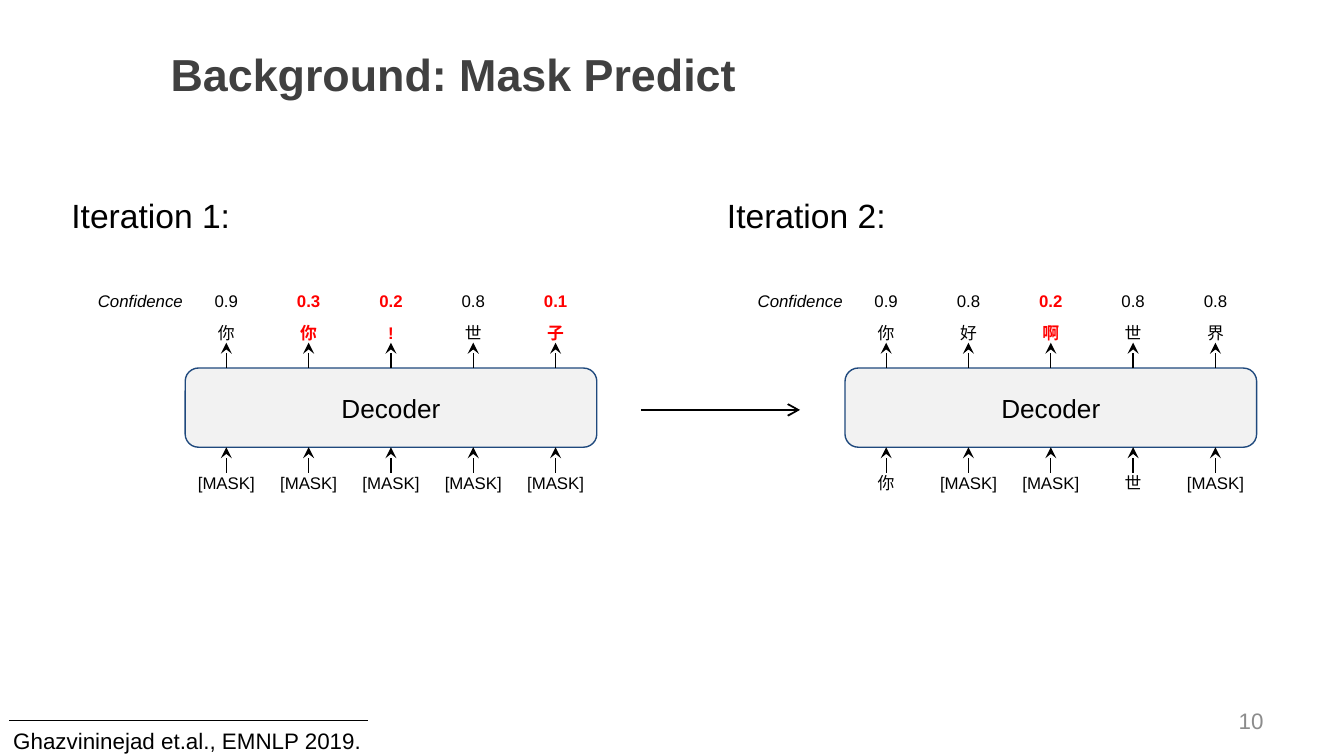
from pptx import Presentation
from pptx.dml.color import RGBColor
from pptx.enum.shapes import MSO_CONNECTOR, MSO_SHAPE
from pptx.enum.text import MSO_ANCHOR, MSO_AUTO_SIZE, PP_ALIGN
from pptx.oxml.ns import qn
from pptx.util import Pt
from lxml import etree

LEFT, CENTER, RIGHT = PP_ALIGN.LEFT, PP_ALIGN.CENTER, PP_ALIGN.RIGHT
TOP, MIDDLE = MSO_ANCHOR.TOP, MSO_ANCHOR.MIDDLE
STRAIGHT = MSO_CONNECTOR.STRAIGHT
ROUNDED = MSO_SHAPE.ROUNDED_RECTANGLE
TITLE_ONLY = 5

BLACK, RED, GREY = "000000", "FF0000", "8C8C8C"
TITLE_COLOR, BOX_FILL, BOX_LINE = "404040", "EEEEEE", "1F497D"

# Decoder diagram, in points
COLUMN = 44.1
DECODER_TOP, DECODER_HEIGHT = 197.2, 42.4
DECODER_BOTTOM = DECODER_TOP + DECODER_HEIGHT
ARROW_LENGTH, LABEL_HEIGHT = 13.6, 11
CONFIDENCE_TOP, OUTPUT_TOP = 155.8, 172.8
INPUT_TOP = DECODER_BOTTOM + ARROW_LENGTH
LOW_CONFIDENCE = 0.5
MASK = "[MASK]"

ITERATIONS = [
    {"heading": "Iteration 1:", "heading_left": 31.2, "left": 99.2,
     "confidence": [0.9, 0.3, 0.2, 0.8, 0.1],
     "outputs": ["你", "你", "!", "世", "子"],
     "inputs": [MASK] * 5},
    {"heading": "Iteration 2:", "heading_left": 382.4, "left": 452.7,
     "confidence": [0.9, 0.8, 0.2, 0.8, 0.8],
     "outputs": ["你", "好", "啊", "世", "界"],
     "inputs": ["你", MASK, MASK, "世", MASK]},
]


def rgb(color):
    return RGBColor.from_string(color)


def write(shape, text, size, color=BLACK, align=LEFT, anchor=TOP,
          margins=(7.2, 3.6), wrap=True, **styles):
    """Fill a shape with one formatted line of text."""
    across, down = margins
    frame = shape.text_frame
    frame_format = {
        "word_wrap": wrap, "auto_size": MSO_AUTO_SIZE.NONE,
        "vertical_anchor": anchor,
        "margin_left": Pt(across), "margin_right": Pt(across),
        "margin_top": Pt(down), "margin_bottom": Pt(down),
    }
    for name, value in frame_format.items():
        setattr(frame, name, value)
    para = frame.paragraphs[0]
    para.alignment = align
    span = para.add_run()
    span.text = text
    for name, value in {"name": "Arial", "size": Pt(size), **styles}.items():
        setattr(span.font, name, value)
    span.font.color.rgb = rgb(color)


def add_text(page, place, text, size, **styles):
    box = page.shapes.add_textbox(*map(Pt, place))
    write(box, text, size, **styles)


def add_label(page, left, top, text, width=COLUMN, **styles):
    add_text(page, (left, top, width, LABEL_HEIGHT), text, 9,
             align=CENTER, margins=(3.6, 0), **styles)


def add_line(page, start, end, weight=0.75, head=None):
    line = page.shapes.add_connector(STRAIGHT, *map(Pt, (*start, *end)))
    line.line.width = Pt(weight)
    line.line.color.rgb = rgb(BLACK)
    properties = line._element.spPr
    if head:
        outline = properties.find(qn("a:ln"))
        etree.SubElement(outline, qn("a:tailEnd"), type=head)
    etree.SubElement(properties, qn("a:effectLst"))


def add_decoder(page, left, columns):
    place = (left, DECODER_TOP, columns * COLUMN, DECODER_HEIGHT)
    box = page.shapes.add_shape(ROUNDED, *map(Pt, place))
    box.shadow.inherit = False
    box.adjustments[0] = 0.167
    box.fill.solid()
    box.fill.fore_color.rgb = rgb(BOX_FILL)
    fill_color = box._element.spPr.find(qn("a:solidFill"))[0]
    etree.SubElement(fill_color, qn("a:alpha"), val="74000")
    box.line.color.rgb = rgb(BOX_LINE)
    box.line.width = Pt(0.75)
    write(box, "Decoder", 14, align=CENTER, anchor=MIDDLE, margins=(7.2, 7.2))


def add_iteration(page, step):
    left = step["left"]
    add_text(page, (step["heading_left"], 100.8, 100, 28.8),
             step["heading"], 18, wrap=False)
    add_decoder(page, left, len(step["inputs"]))
    add_label(page, left - 53.2, CONFIDENCE_TOP, "Confidence",
              width=58.3, italic=True)

    # One column per token; uncertain tokens stand out
    columns = zip(step["confidence"], step["outputs"], step["inputs"])
    for index, (confidence, output, token) in enumerate(columns):
        column_left = left + index * COLUMN
        center = column_left + COLUMN / 2
        style = {}
        if confidence < LOW_CONFIDENCE:
            style = {"color": RED, "bold": True}
        add_label(page, column_left, CONFIDENCE_TOP, str(confidence), **style)
        add_label(page, column_left, OUTPUT_TOP, output, **style)
        add_label(page, column_left, INPUT_TOP, token)
        for base in (DECODER_TOP, INPUT_TOP):
            add_line(page, (center, base), (center, base - ARROW_LENGTH),
                     head="stealth")


def add_title(page, text):
    title = page.shapes.title
    place = {"left": 84.2, "top": 13.7, "width": 355, "height": 51.1}
    for name, value in place.items():
        setattr(title, name, Pt(value))
    write(title, text, 24, color=TITLE_COLOR, anchor=MIDDLE, bold=True)


def main():
    deck = Presentation()
    deck.slide_width, deck.slide_height = Pt(720), Pt(405)
    page = deck.slides.add_slide(deck.slide_layouts[TITLE_ONLY])
    add_title(page, "Background: Mask Predict")

    # The two decoding passes and the step between them
    for step in ITERATIONS:
        add_iteration(page, step)
    add_line(page, (343.4, 219.6), (428.6, 219.6), weight=1, head="arrow")

    # Citation and page number
    add_line(page, (5, 386), (197.3, 386))
    add_text(page, (0, 386, 212.4, 21.6),
             "Ghazvininejad et.al., EMNLP 2019.", 12)
    add_text(page, (516, 375.4, 168, 21.6), "10", 12,
             color=GREY, align=RIGHT, anchor=MIDDLE)

    deck.save("out.pptx")


if __name__ == "__main__":
    main()
